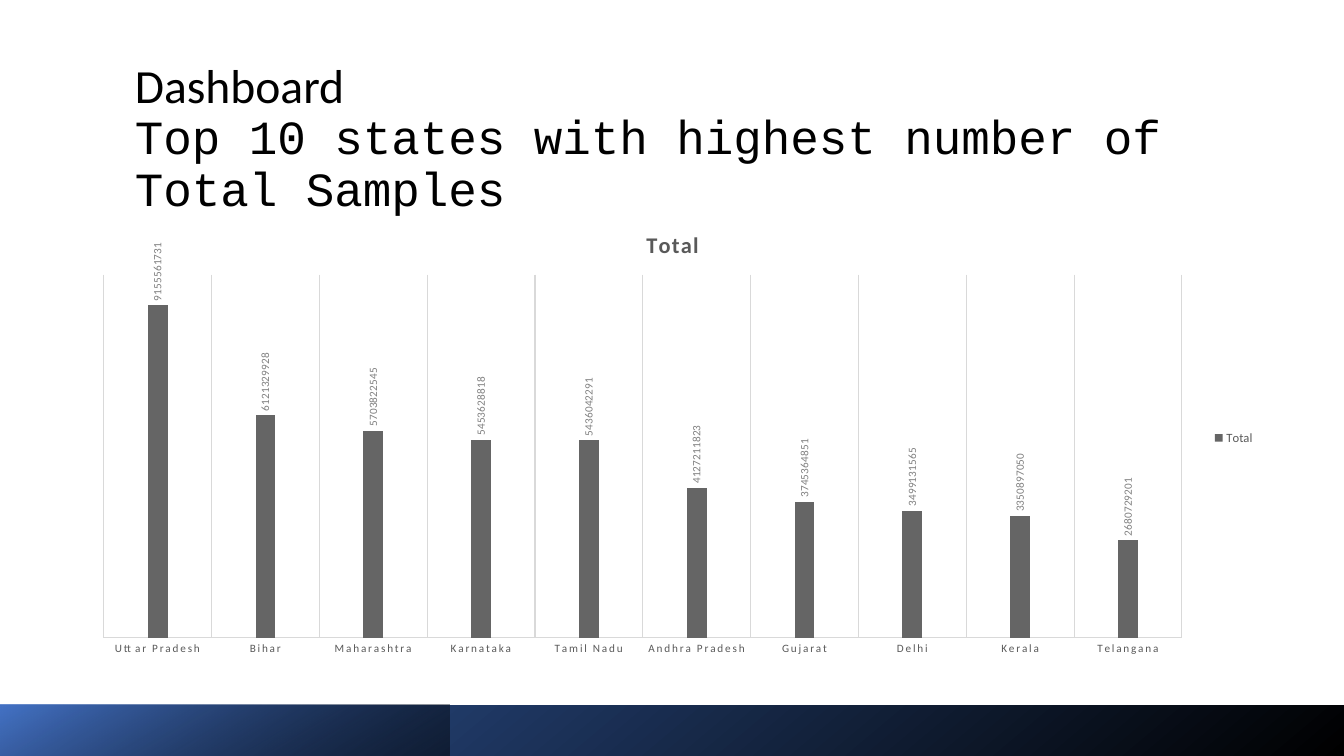
"""Builds the dashboard slide on state sample totals."""
from dataclasses import dataclass

from lxml.etree import SubElement
from pptx import Presentation
from pptx.chart.data import CategoryChartData as ChartData
from pptx.dml.color import RGBColor as Color
from pptx.enum.chart import XL_CHART_TYPE as ChartType
from pptx.enum.chart import XL_LABEL_POSITION as LabelPosition
from pptx.enum.chart import XL_LEGEND_POSITION as LegendPosition
from pptx.enum.chart import XL_TICK_LABEL_POSITION as TickLabels
from pptx.enum.chart import XL_TICK_MARK as TickMark
from pptx.enum.shapes import MSO_SHAPE as Preset
from pptx.enum.text import MSO_ANCHOR as Anchor
from pptx.oxml import parse_xml
from pptx.oxml.ns import nsdecls, qn
from pptx.util import Emu, Pt


@dataclass(frozen=True)
class Theme:
    """Colours, fonts and type sizes of the slide."""
    black: str = "000000"
    navy: str = "2F5597"
    blue: str = "4472C4"
    bar: str = "656565"
    text: str = "595959"
    label: str = "808080"
    rule: str = "D9D9D9"
    sans: str = "Calibri"
    mono: str = "Courier New"
    heading: int = 34
    chart_title: int = 16
    body: int = 10
    legend: int = 9
    small: int = 8


THEME = Theme()
STATE_SAMPLES = {
    "Uttar Pradesh": 9155561731,
    "Bihar": 6121329928,
    "Maharashtra": 5703822545,
    "Karnataka": 5453628818,
    "Tamil Nadu": 5436042291,
    "Andhra Pradesh": 4127211823,
    "Gujarat": 3745364851,
    "Delhi": 3499131565,
    "Kerala": 3350897050,
    "Telangana": 2680729201,
}


def px(length):
    """Turn pixels into EMU."""
    return Emu(round(length * 914400 / 100.8))


def area(left, top, width, height):
    """Return a pixel rectangle in EMU."""
    return [px(length) for length in (left, top, width, height)]


def style_font(font, *, size, color, name=THEME.sans, bold=False):
    """Set the look of a font."""
    font.name, font.size, font.bold = name, Pt(size), bold
    font.color.rgb = Color.from_string(color)


def write_span(para, text, **style):
    """Add a formatted run to a paragraph."""
    span = para.add_run()
    span.text = text
    style_font(span.font, **style)


def add_heading(page, place, name, subject):
    """Add the two-part heading."""
    frame = page.shapes.add_textbox(*area(*place)).text_frame
    frame.word_wrap = True
    frame.vertical_anchor = Anchor.MIDDLE
    para = frame.paragraphs[0]
    para.line_spacing = 0.9
    look = {"size": THEME.heading, "color": THEME.black}
    write_span(para, name, **look)
    para.add_line_break()
    write_span(para, subject, name=THEME.mono, **look)


def add_band(page, place, color, *, angle, end=1.0, opacity=100):
    """Add a footer band that fades from black to a colour."""
    band = page.shapes.add_shape(Preset.RECTANGLE, *area(*place))
    band.shadow.inherit = False
    band.line.fill.background()
    band.fill.gradient()
    band.fill.gradient_angle = 360 - angle
    stops = band.fill.gradient_stops
    for stop, tone, position in zip(stops, (THEME.black, color), (0, end)):
        stop.color.rgb = Color.from_string(tone)
        stop.position = position
    if opacity < 100:
        dark = band.fill._xPr.find(".//" + qn("a:srgbClr"))
        SubElement(dark, qn("a:alpha"), val=str(opacity * 1000))


def style_rule(line):
    """Give an axis or grid line its thin grey stroke."""
    line.color.rgb = Color.from_string(THEME.rule)
    line.width = Pt(0.75)


def style_axes(chart):
    """Show the category axis and hide the value axis."""
    states = chart.category_axis
    states.major_tick_mark = states.minor_tick_mark = TickMark.NONE
    states.tick_label_position = TickLabels.NEXT_TO_AXIS
    states.has_major_gridlines = True
    style_rule(states.format.line)
    style_rule(states.major_gridlines.format.line)
    style_font(states.tick_labels.font, size=THEME.small, color=THEME.text)
    samples = chart.value_axis
    samples.minimum_scale, samples.maximum_scale = 0, 10_000_000_000
    samples.has_major_gridlines = False
    samples.visible = False


def style_bars(plot):
    """Set the bars and their value labels."""
    plot.gap_width, plot.overlap, plot.vary_by_categories = 444, -90, False
    fill = plot.series[0].format.fill
    fill.solid()
    fill.fore_color.rgb = Color.from_string(THEME.bar)
    plot.has_data_labels = True
    labels = plot.data_labels
    labels.show_value = True
    labels.position = LabelPosition.OUTSIDE_END
    style_font(labels.font, size=THEME.small, color=THEME.label)


def set_attributes(chart, query, **values):
    """Set XML attributes on the chart parts that a query finds."""
    for part in chart.element.xpath(query):
        for key, value in values.items():
            part.set(key, value)


def place_plot(chart, **shares):
    """Fix the inner plot area as shares of the chart."""
    plot_area = chart.element.xpath(".//c:plotArea")[0]
    for layout in plot_area.findall(qn("c:layout")):
        plot_area.remove(layout)
    sizes = "".join(f'<c:{key} val="{share}"/>' for key, share in shares.items())
    plot_area.insert(0, parse_xml(
        f'<c:layout {nsdecls("c")}><c:manualLayout><c:layoutTarget val="inner"/>'
        f'<c:xMode val="edge"/><c:yMode val="edge"/>{sizes}'
        '</c:manualLayout></c:layout>'))


def add_state_chart(page, place, series_name, totals):
    """Add the column chart of samples by state."""
    chart_data = ChartData(number_format="General")
    chart_data.categories = list(totals)
    chart_data.add_series(series_name, list(totals.values()))
    chart = page.shapes.add_chart(
        ChartType.COLUMN_CLUSTERED, *area(*place), chart_data).chart
    style_font(chart.font, size=THEME.body, color=THEME.black)
    chart.has_title = True
    write_span(chart.chart_title.text_frame.paragraphs[0], series_name,
               size=THEME.chart_title, color=THEME.text, bold=True)
    chart.chart_title.include_in_layout = False
    chart.has_legend = True
    chart.legend.position = LegendPosition.RIGHT
    chart.legend.include_in_layout = False
    style_font(chart.legend.font, size=THEME.legend, color=THEME.text)
    style_axes(chart)
    style_bars(chart.plots[0])
    set_attributes(chart, ".//c:dLbls/c:txPr/a:bodyPr", rot="-5400000", vert="horz")
    set_attributes(chart, ".//c:catAx/c:txPr//a:defRPr", spc="120")
    set_attributes(chart, ".//c:title//a:rPr", spc="100")
    place_plot(chart, x=0.02, y=0.14, w=0.91, h=0.8)


def main():
    """Build and save the deck."""
    deck = Presentation()
    deck.slide_width, deck.slide_height = px(1344), px(756)
    page = deck.slides.add_slide(deck.slide_layouts[6])
    add_heading(page, (125, 79, 1122, 121), "Dashboard",
                "Top 10 states with highest number of Total Samples")
    add_band(page, (0, 705, 1344, 51), THEME.navy, angle=230)
    add_band(page, (0, 705, 450, 51), THEME.blue, angle=240, end=0.99, opacity=46)
    add_state_chart(page, (80, 211, 1185, 454), "Total", STATE_SAMPLES)
    deck.save("out.pptx")


main()
